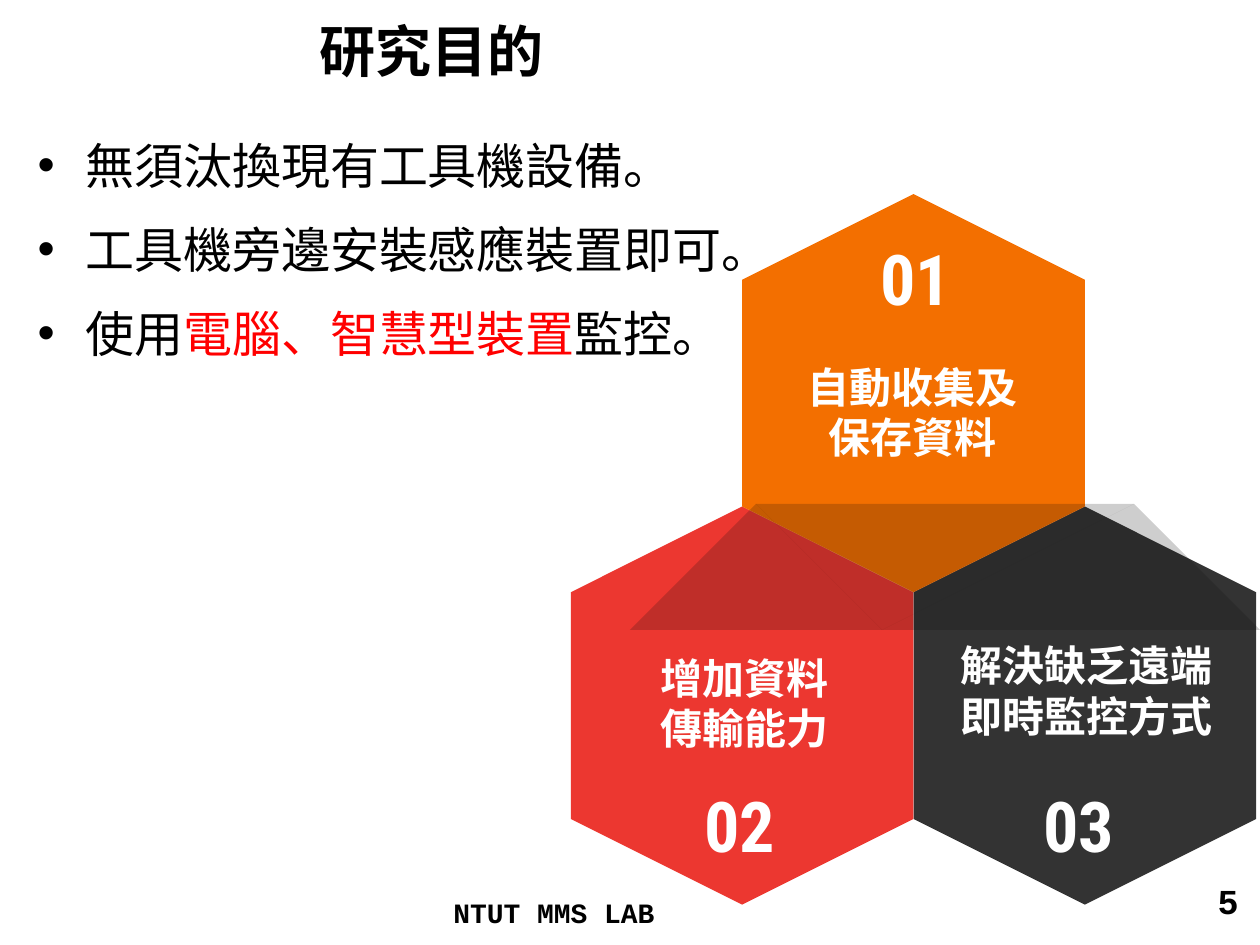
from dataclasses import dataclass

from lxml.etree import SubElement
from pptx import Presentation
from pptx.dml.color import RGBColor
from pptx.enum.shapes import MSO_SHAPE
from pptx.enum.text import MSO_ANCHOR, PP_ALIGN
from pptx.oxml.ns import qn
from pptx.util import Inches, Pt


@dataclass(frozen=True)
class Theme:
    cjk: str = "Noto Sans CJK SC"
    mono: str = "Courier New"
    number: str = "Roboto Condensed"
    black: str = "000000"
    white: str = "FFFFFF"
    highlight: str = "FF0000"
    orange: str = "F36F00"
    red: str = "EC3730"
    dark: str = "333333"
    shade: str = "0D0D0D"
    title: int = 32
    body: int = 28
    label: int = 24
    index: int = 40
    footer: int = 16
    page: int = 20


T = Theme()


def add_run(p, text, size, font, color, bold=False):
    r = p.add_run()
    r.text = text
    r.font.size = Pt(size)
    r.font.bold = bold
    r.font.name = font
    r.font.color.rgb = RGBColor.from_string(color)
    SubElement(r._r.get_or_add_rPr(), qn("a:ea")).set("typeface", font)


def add_box(x, y, w, h, anchor=MSO_ANCHOR.TOP, wrap=True):
    tf = s.shapes.add_textbox(Inches(x), Inches(y), Inches(w), Inches(h)).text_frame
    tf.word_wrap = wrap
    tf.vertical_anchor = anchor
    return tf


prs = Presentation()
prs.slide_width, prs.slide_height = Inches(10), Inches(7.5)
s = prs.slides.add_slide(prs.slide_layouts[6])

# Title
tf = add_box(2.44, 0, 7.56, 0.79, MSO_ANCHOR.MIDDLE)
add_run(tf.paragraphs[0], "研究目的", T.title, T.cjk, T.black, True)

# Bullets
bullets = [
    [("無須汰換現有工具機設備。", T.black)],
    [("工具機旁邊安裝感應裝置即可。", T.black)],
    [("使用", T.black), ("電腦、智慧型裝置", T.highlight), ("監控。", T.black)],
]
tf = add_box(0.2, 1.02, 9.69, 5.82)
for i, runs in enumerate(bullets):
    p = tf.paragraphs[0] if i == 0 else tf.add_paragraph()
    p.line_spacing = Pt(33.8)
    if i:
        p.space_before = Pt(14.2)
    pPr = p._p.get_or_add_pPr()
    pPr.set("marL", str(Inches(0.38)))
    pPr.set("indent", str(-Inches(0.38)))
    SubElement(pPr, qn("a:buFont")).set("typeface", "Arial")
    SubElement(pPr, qn("a:buChar")).set("char", "•")
    for text, color in runs:
        add_run(p, text, T.body, T.cjk, color)

# Footer and page number
tf = add_box(3.5, 7.06, 3.24, 0.32)
add_run(tf.paragraphs[0], "NTUT MMS LAB", T.footer, T.mono, T.black, True)
tf = add_box(7.6, 6.93, 2.33, 0.52)
tf.paragraphs[0].alignment = PP_ALIGN.RIGHT
add_run(tf.paragraphs[0], "5", T.page, T.mono, T.black, True)

# Honeycomb: upright hexagons around a shared corner
HEX_H, HEX_W = 3.16, 2.72
TIP = HEX_W / 4
CORNER_X, CORNER_Y = 7.25, 4.7
left, right = CORNER_X - HEX_W / 2, CORNER_X + HEX_W / 2
upper, lower = CORNER_Y - HEX_H / 2, CORNER_Y - TIP + HEX_H / 2
for cx, cy, color in [(right, lower, T.dark), (left, lower, T.red),
                      (CORNER_X, upper, T.orange)]:
    sp = s.shapes.add_shape(MSO_SHAPE.HEXAGON, Inches(cx - HEX_H / 2),
                            Inches(cy - HEX_W / 2), Inches(HEX_H), Inches(HEX_W))
    sp.rotation = 270
    sp.shadow.inherit = False
    sp.fill.solid()
    sp.fill.fore_color.rgb = RGBColor.from_string(color)
    sp.line.fill.background()

# Translucent shading on the tips that meet
top = CORNER_Y - TIP
for cx, tip_y, base_y in [(right, top, CORNER_Y), (left, top, CORNER_Y),
                          (CORNER_X, CORNER_Y, top)]:
    fb = s.shapes.build_freeform(cx, tip_y, scale=Inches(1))
    fb.add_line_segments([(cx + HEX_W / 2, base_y), (cx - HEX_W / 2, base_y)])
    sp = fb.convert_to_shape()
    sp.shadow.inherit = False
    sp.fill.solid()
    sp.fill.fore_color.rgb = RGBColor.from_string(T.shade)
    clr = sp.fill._xPr.find(qn("a:solidFill")).find(qn("a:srgbClr"))
    SubElement(clr, qn("a:alpha")).set("val", "20000")
    sp.line.fill.background()

# Hexagon numbers
for text, x, y, w in [("01", 6.89, 1.82, 0.87), ("03", 8.18, 6.16, 0.8),
                      ("02", 5.49, 6.16, 0.79)]:
    tf = add_box(x, y, w, 0.77, wrap=False)
    add_run(tf.paragraphs[0], text, T.index, T.number, T.white, True)

# Hexagon labels
labels = [
    (["自動收集及保存資料"], 6.15, 2.81, 2.19),
    (["增加資料", "傳輸能力"], 4.8, 5.12, 2.22),
    (["解決缺乏遠端", "即時監控方式"], 7.31, 5.02, 2.62),
]
for lines, x, y, w in labels:
    tf = add_box(x, y, w, 0.91, MSO_ANCHOR.MIDDLE)
    for i, line in enumerate(lines):
        p = tf.paragraphs[0] if i == 0 else tf.add_paragraph()
        p.alignment = PP_ALIGN.CENTER
        p.line_spacing = Pt(28.9)
        add_run(p, line, T.label, T.cjk, T.white, True)

prs.save("out.pptx")
